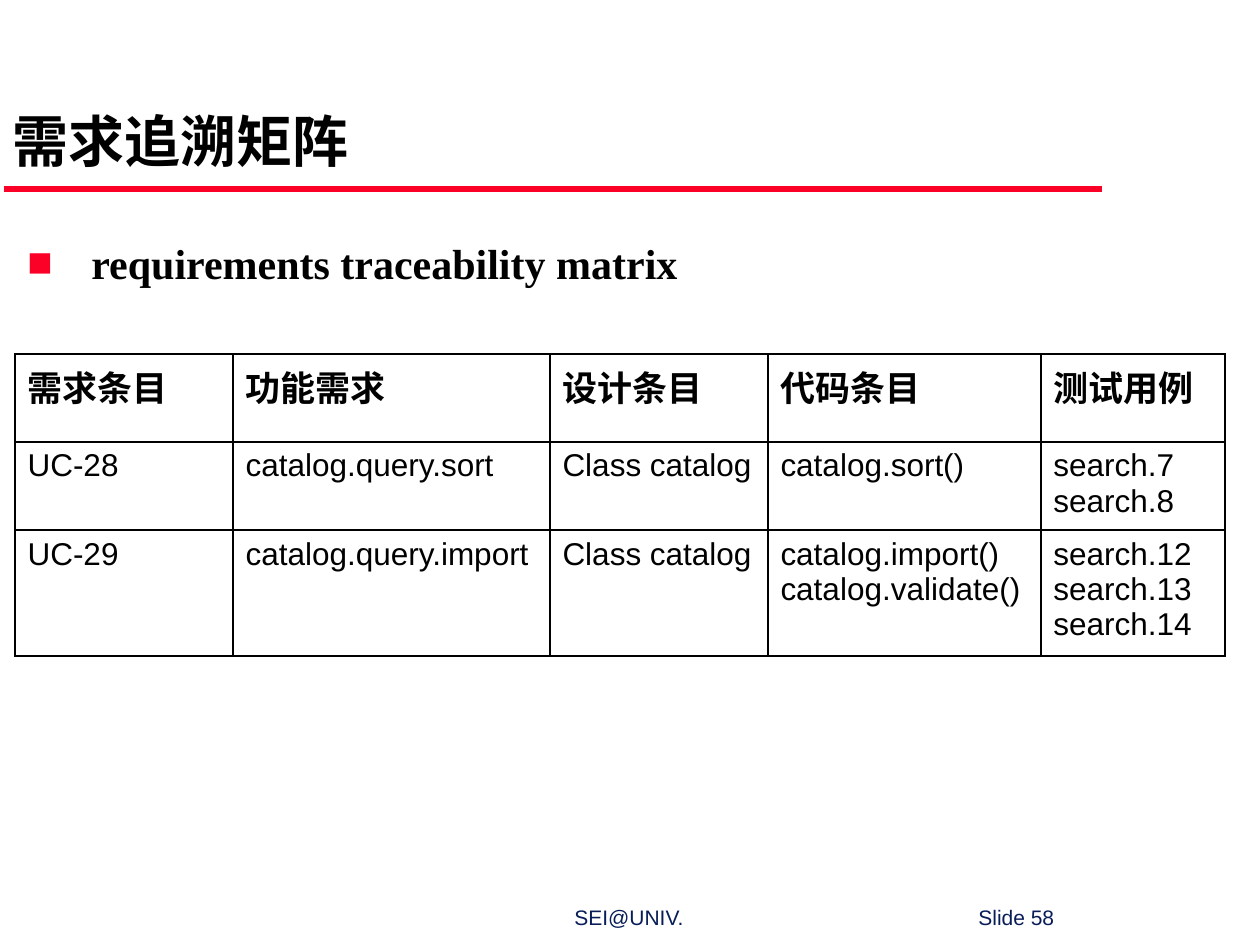
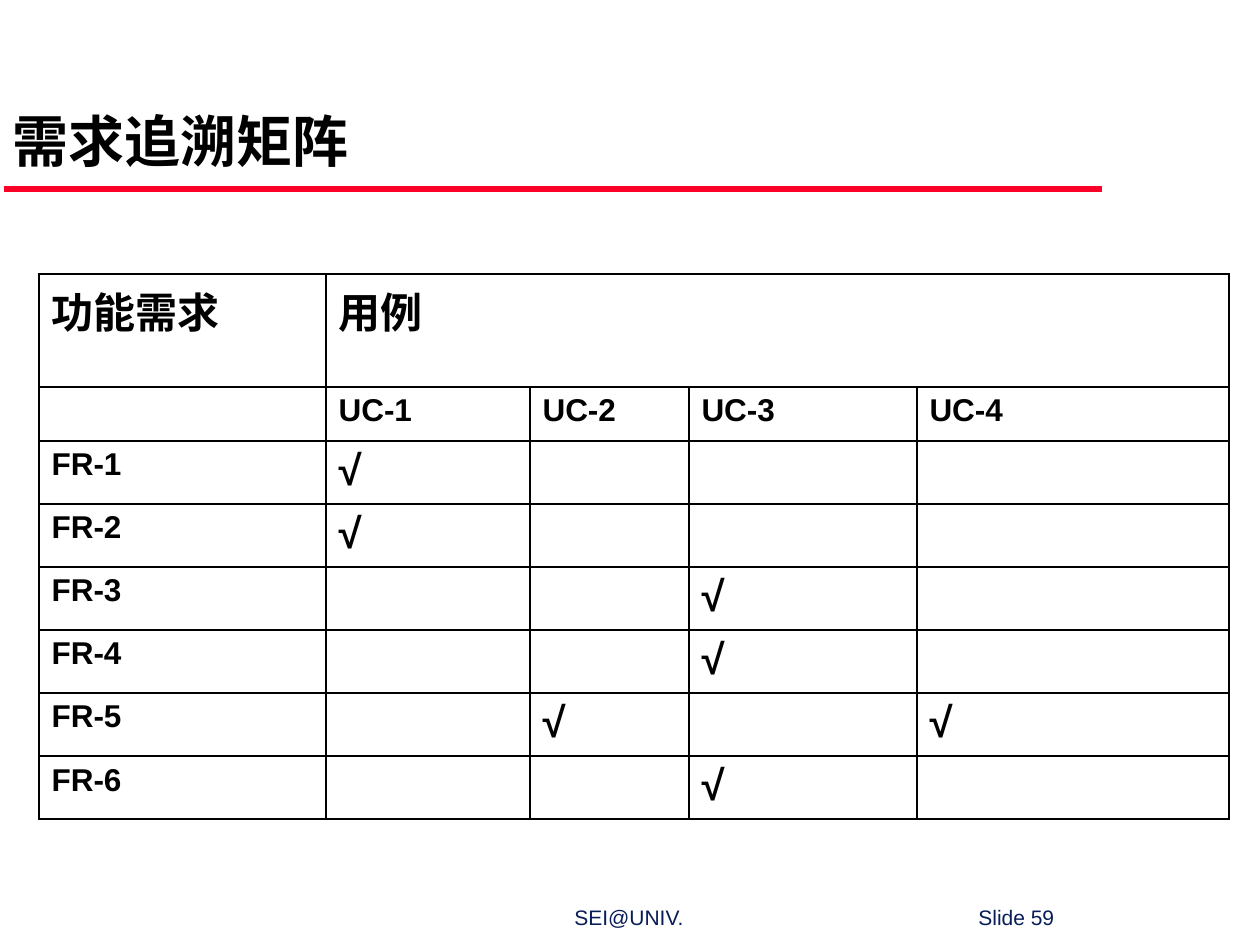
from lxml.etree import SubElement
from pptx import Presentation
from pptx.dml.color import RGBColor
from pptx.enum.shapes import MSO_CONNECTOR
from pptx.enum.text import MSO_ANCHOR, PP_ALIGN
from pptx.oxml import parse_xml
from pptx.oxml.ns import nsdecls, qn
from pptx.util import Emu, Pt

PX_PER_INCH = 126
BLACK, RED, NAVY = "000000", "FC0128", "081D58"
CJK, SANS, SERIF = "Noto Sans CJK SC", "Arial", "Times New Roman"
TITLE = "需求追溯矩阵"
CHECK = "√"


def px(length):
    return Emu(round(length * 914400 / PX_PER_INCH))


def color(hex_code):
    return RGBColor.from_string(hex_code)


def write(paragraph, text, size=18, font=SANS, ink=BLACK, bold=False):
    """Fill a paragraph with text, where a newline is a line break."""
    paragraph.text = text
    for run in paragraph.runs:
        run.font.size = Pt(size)
        run.font.name = font
        run.font.bold = bold
        run.font.color.rgb = color(ink)
        SubElement(run.font._element, qn("a:ea"), typeface=font)


def outline(cell, ink=BLACK, width=1):
    """Draw all four borders of a table cell."""
    properties = cell._tc.get_or_add_tcPr()
    for index, side in enumerate("LRTB"):
        border = parse_xml(
            f'<a:ln{side} {nsdecls("a")} w="{Pt(width)}"><a:solidFill>'
            f'<a:srgbClr val="{ink}"/></a:solidFill></a:ln{side}>')
        properties.insert(index, border)


class Deck:
    """Holds the presentation, its shared style and the current slide."""

    def __init__(self):
        self.prs = Presentation()
        self.prs.slide_width, self.prs.slide_height = px(1260), px(945)
        self.slide = None

    def new_slide(self, title, number):
        self.slide = self.prs.slides.add_slide(self.prs.slide_layouts[6])
        self.rule(4, 1102, 189)
        self.footer("SEI@UNIV.", f"Slide {number}")
        self.text(0, 28, 1153, 152, title, anchor=MSO_ANCHOR.BOTTOM,
                  size=32, font=CJK, bold=True)

    def rule(self, left, right, y):
        line = self.slide.shapes.add_connector(
            MSO_CONNECTOR.STRAIGHT, px(left), px(y), px(right), px(y))
        line.line.color.rgb = color(RED)
        line.line.width = Pt(4)
        SubElement(line._element.spPr, qn("a:effectLst"))

    def text(self, left, top, width, height, text,
             anchor=MSO_ANCHOR.TOP, **style):
        box = self.slide.shapes.add_textbox(
            px(left), px(top), px(width), px(height))
        frame = box.text_frame
        frame.word_wrap = True
        frame.vertical_anchor = anchor
        paragraph = frame.paragraphs[0]
        write(paragraph, text, **style)
        return paragraph

    def footer(self, owner, page):
        paragraph = self.text(78, 898, 1139, 38, f"\t{owner}\t{page}",
                              size=12, ink=NAVY)
        stops = SubElement(paragraph._p.get_or_add_pPr(), qn("a:tabLst"))
        for position in (484, 888):
            SubElement(stops, qn("a:tab"), pos=str(px(position)), algn="l")

    def bullet(self, left, top, width, height, text, indent=64):
        paragraph = self.text(left, top, width, height, text,
                              size=24, font=SERIF, bold=True)
        paragraph.alignment = PP_ALIGN.JUSTIFY
        paragraph.space_before = Pt(4)
        properties = paragraph._p.get_or_add_pPr()
        properties.set("marL", str(px(indent)))
        properties.set("indent", str(px(-indent)))
        mark_color = SubElement(properties, qn("a:buClr"))
        SubElement(mark_color, qn("a:srgbClr"), val=RED)
        SubElement(properties, qn("a:buFont"), typeface=SANS)
        SubElement(properties, qn("a:buChar"), char="■")

    def table(self, left, top, widths, heights, rows, style_of):
        """Add a bordered table; style_of(row, text) gives the text format."""
        grid = self.slide.shapes.add_table(
            len(heights), len(widths), px(left), px(top),
            px(sum(widths)), px(sum(heights))).table
        grid.first_row = grid.horz_banding = False
        for column, width in zip(grid.columns, widths):
            column.width = px(width)
        for row, height in zip(grid.rows, heights):
            row.height = px(height)
        for r, texts in enumerate(rows):
            for c, text in enumerate(texts):
                cell = grid.cell(r, c)
                cell.fill.background()
                outline(cell)
                if text:
                    write(cell.text_frame.paragraphs[0], text,
                          **style_of(r, text))
        return grid


def trace_style(row, text):
    if row == 0:
        return dict(size=20, font=CJK, bold=True)
    return dict(size=18)


def coverage_style(row, text):
    if row == 0:
        return dict(size=24, font=CJK, bold=True)
    return dict(size=24 if text == CHECK else 18, bold=True)


def trace_slide(deck):
    deck.new_slide(TITLE, 58)
    deck.bullet(15, 231, 1230, 570, "requirements traceability matrix")
    rows = [
        ["需求条目", "功能需求", "设计条目", "代码条目", "测试用例"],
        ["UC-28", "catalog.query.sort", "Class catalog", "catalog.sort()",
         "search.7\nsearch.8"],
        ["UC-29", "catalog.query.import", "Class catalog",
         "catalog.import()\ncatalog.validate()",
         "search.12\nsearch.13\nsearch.14"],
    ]
    deck.table(15, 354, [218, 317, 218, 273, 184], [88, 88, 126],
               rows, trace_style)


def coverage_slide(deck):
    deck.new_slide(TITLE, 59)
    use_cases = [f"UC-{n}" for n in range(1, 5)]
    covered_by = [{1}, {1}, {3}, {3}, {2, 4}, {3}]
    rows = [["功能需求", "用例", "", "", ""], ["", *use_cases]]
    for number, covering in enumerate(covered_by, 1):
        checks = [CHECK if n in covering else "" for n in range(1, 5)]
        rows.append([f"FR-{number}", *checks])
    matrix = deck.table(39, 274, [287, 204, 159, 228, 312],
                        [113, 54] + [63] * len(covered_by),
                        rows, coverage_style)
    matrix.cell(0, 1).merge(matrix.cell(0, 4))


def main():
    deck = Deck()
    trace_slide(deck)
    coverage_slide(deck)
    deck.prs.save("out.pptx")


if __name__ == "__main__":
    main()
